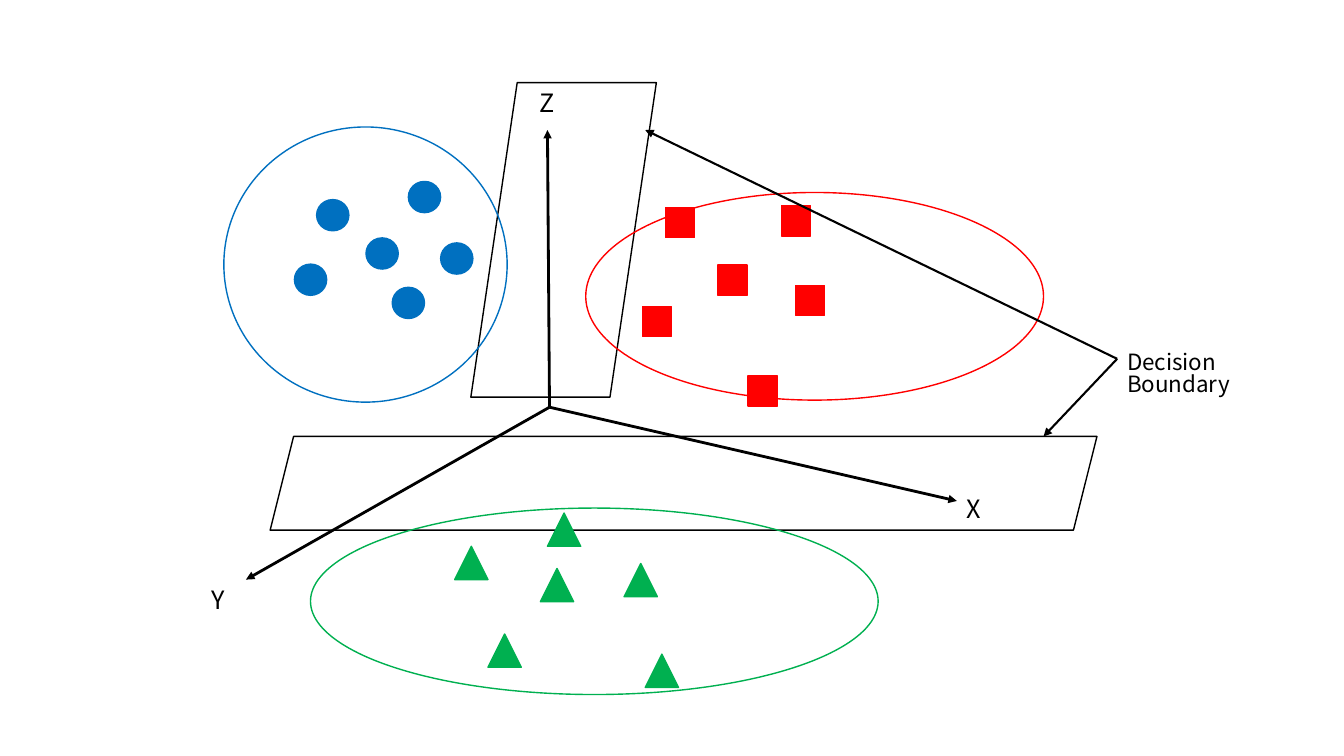
from lxml import etree
from pptx import Presentation
from pptx.dml.color import RGBColor
from pptx.enum.shapes import MSO_CONNECTOR, MSO_SHAPE
from pptx.enum.text import MSO_ANCHOR, MSO_AUTO_SIZE
from pptx.oxml.ns import qn
from pptx.util import Inches, Pt

ELLIPSE, SQUARE = MSO_SHAPE.OVAL, MSO_SHAPE.RECTANGLE
TRIANGLE, PLANE = MSO_SHAPE.ISOSCELES_TRIANGLE, MSO_SHAPE.PARALLELOGRAM
STRAIGHT = MSO_CONNECTOR.STRAIGHT
GROW, TOP = MSO_AUTO_SIZE.SHAPE_TO_FIT_TEXT, MSO_ANCHOR.TOP

COLORS = {"ink": "000000", "blue": "0070C0", "red": "FF0000", "green": "00B050"}
GRID_COLUMNS, GRID_ROWS = 133.3, 75


class Diagram:
    """Draws styled elements on one slide, placed by columns and rows."""

    def __init__(self, deck, font):
        self.column = deck.slide_width / GRID_COLUMNS
        self.row = deck.slide_height / GRID_ROWS
        self.font = font
        self.shapes = deck.slides.add_slide(deck.slide_layouts[6]).shapes

    def place(self, *lengths):
        units = (self.column, self.row) * 2
        return [round(length * unit) for length, unit in zip(lengths, units)]

    def color(self, name):
        return RGBColor.from_string(COLORS[name])

    def stroke(self, element, color, width):
        element.line.color.rgb = self.color(color)
        element.line.width = Pt(width)

    def outline(self, kind, box, color, filled=False):
        figure = self.shapes.add_shape(kind, *self.place(*box))
        figure.shadow.inherit = False
        if filled:
            figure.fill.solid()
            figure.fill.fore_color.rgb = self.color(color)
        else:
            figure.fill.background()
        self.stroke(figure, color, 1)

    def markers(self, kind, size, color, corners):
        for corner in corners:
            self.outline(kind, corner + size, color, filled=True)

    def arrow(self, start, end, width):
        pointer = self.shapes.add_connector(STRAIGHT, *self.place(*start, *end))
        self.stroke(pointer, "ink", width)
        etree.SubElement(pointer.line._get_or_add_ln(), qn("a:tailEnd"), type="triangle")
        etree.SubElement(pointer._element.spPr, qn("a:effectLst"))

    def label(self, wording, box, size, **frame_format):
        frame = self.shapes.add_textbox(*self.place(*box)).text_frame
        defaults = {"word_wrap": False, "auto_size": GROW, "vertical_anchor": TOP}
        for name, value in (defaults | frame_format).items():
            setattr(frame, name, value)
        paragraph = frame.paragraphs[0]
        paragraph.text = wording
        run_font = paragraph.runs[0].font
        for name, value in {"name": self.font, "size": Pt(size)}.items():
            setattr(run_font, name, value)
        run_font.color.rgb = self.color("ink")
        return paragraph


def main():
    deck = Presentation()
    deck.slide_width, deck.slide_height = Inches(13.33), Inches(7.5)
    diagram = Diagram(deck, "Noto Sans CJK KR")

    for boundary in ((46.7, 8.2, 18.4, 31.2), (26.8, 43.3, 82, 9.3)):
        diagram.outline(PLANE, boundary, "ink")

    clusters = {
        "green": ((30.8, 50.4, 56.3, 18.5), TRIANGLE, (3.3, 3.3), [
            (45.1, 54.2), (64, 64.9), (48.4, 62.9),
            (53.6, 56.4), (61.9, 55.9), (54.3, 50.9)]),
        "red": ((58.1, 19.1, 45.4, 20.6), SQUARE, (2.9, 3), [
            (66, 20.6), (71.2, 26.3), (74.2, 37.3),
            (63.7, 30.4), (78.9, 28.3), (77.5, 20.4)]),
        "blue": ((22.2, 12.6, 28.1, 27.3), ELLIPSE, (3.2, 3.1), [
            (31.4, 19.8), (29.2, 26.2), (40.5, 18),
            (36.3, 23.6), (38.9, 28.5), (43.7, 24.1)]),
    }
    for color, (region, _, _, _) in clusters.items():
        diagram.outline(ELLIPSE, region, color)

    origin = (54.5, 40.4)
    axes = {
        "Z": ((54.3, 12.9), (52.5, 8.2, 3.5, 4)),
        "X": ((94.9, 49.7), (94.9, 48.4, 3.5, 4)),
        "Y": ((24.4, 57.5), (20, 57.5, 3.4, 4)),
    }
    for tip, _ in axes.values():
        diagram.arrow(origin, tip, 2)

    for color, (_, kind, size, corners) in clusters.items():
        diagram.markers(kind, size, color, corners)

    for axis, (_, box) in axes.items():
        diagram.label(axis, box, 18)

    callout = (110.8, 35.6)
    for target in ((103.5, 43.3), (64, 12.9)):
        diagram.arrow(callout, target, 1.5)
    caption = diagram.label("Decision Boundary", (110.8, 34.6, 21.2, 6.2), 16,
                            word_wrap=True, margin_right=Inches(0.8))
    caption.line_spacing = 0.8

    deck.save("out.pptx")


if __name__ == "__main__":
    main()
